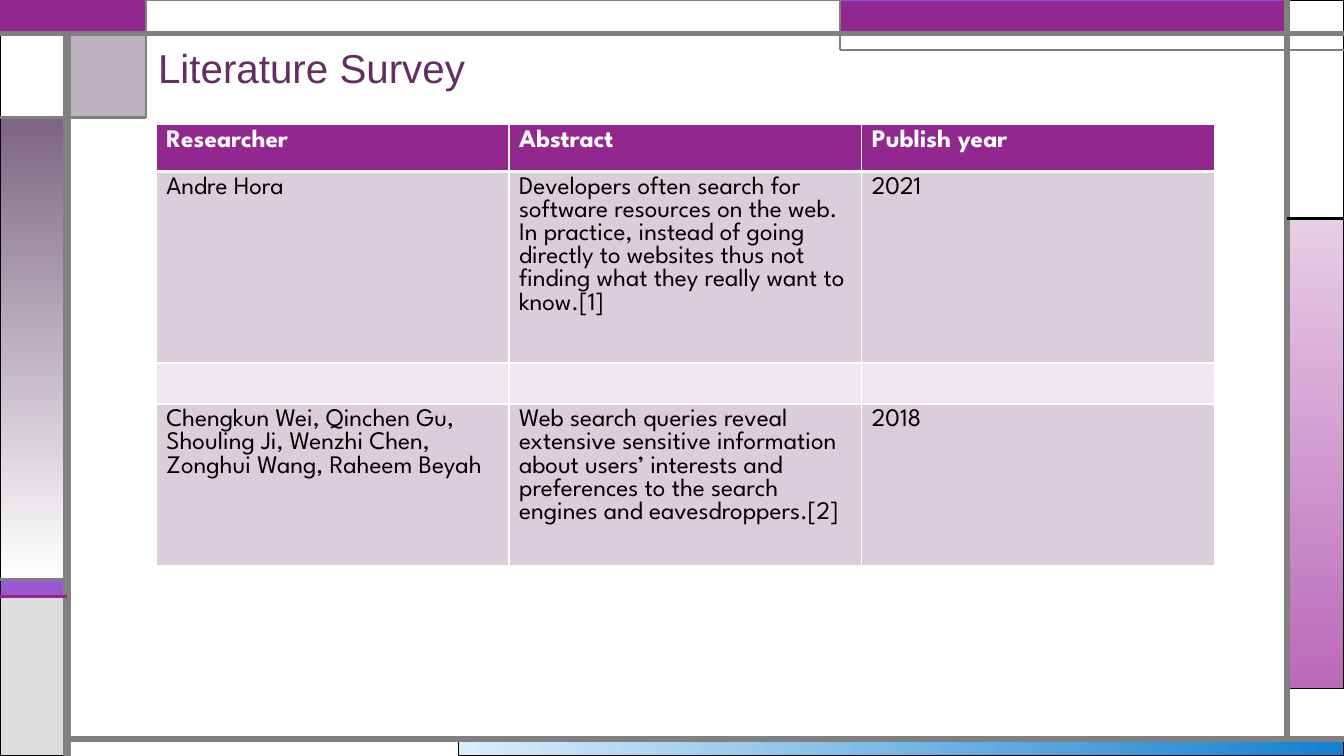
import dataclasses

import pptx
import pptx.dml.color
import pptx.enum.shapes
import pptx.enum.text
import pptx.oxml
import pptx.oxml.ns
import pptx.util
import lxml.etree


@dataclasses.dataclass(frozen=True)
class Theme:
    white: str = "FFFFFF"
    black: str = "000000"
    rule: str = "808080"
    accent: str = "92278F"
    violet: str = "9B57D3"
    indigo: str = "755DD9"
    mauve: str = "7E6583"
    silver: str = "DDDDDD"
    heading: str = "632E62"
    band: str = "DCCDDB"
    band_light: str = "EEE8EE"
    sky: tuple = ("DAEDFB", "1480D1")
    orchid: tuple = ("E8CDE7", "BA69B8")
    fade: tuple = ("7E6583", "FFFFFF")
    heading_font: str = "Arial"
    body_font: str = "League Spartan"
    heading_size: float = 28.8
    body_size: float = 18


COLUMNS, ROWS = 160, 90
RIGHT_RAIL = 153.24
TAB = 17.33


def rgb(value):
    return pptx.dml.color.RGBColor.from_string(value)


def write_text(frame, text, *, font, size, color, bold=False, line_spacing=None):
    paragraph = frame.paragraphs[0]
    paragraph.line_spacing = line_spacing
    run = paragraph.add_run()
    run.text = text
    run.font.name = font
    run.font.size = pptx.util.Pt(size)
    run.font.bold = bold
    run.font.color.rgb = rgb(color)


class SlideBuilder:
    def __init__(self, deck, theme):
        self.theme = theme
        self.unit_x = deck.slide_width / COLUMNS
        self.unit_y = deck.slide_height / ROWS
        self.slide = deck.slides.add_slide(deck.slide_layouts[6])

    def place(self, x, y):
        return round(x * self.unit_x), round(y * self.unit_y)

    def panel(self, x, y, width, height, fill, angle=0, opacity=100, line=None, weight=0.75):
        block = self.slide.shapes.add_shape(
            pptx.enum.shapes.MSO_SHAPE.RECTANGLE, *self.place(x, y), *self.place(width, height))
        block.shadow.inherit = False
        if isinstance(fill, tuple):
            block.fill.gradient()
            block.fill.gradient_angle = 360 - angle
            for stop, shade in zip(block.fill.gradient_stops, fill):
                stop.color.rgb = rgb(shade)
        else:
            block.fill.solid()
            block.fill.fore_color.rgb = rgb(fill)
        if opacity < 100:
            tint = block.element.spPr.find(
                f"{pptx.oxml.ns.qn('a:solidFill')}/{pptx.oxml.ns.qn('a:srgbClr')}")
            lxml.etree.SubElement(tint, pptx.oxml.ns.qn("a:alpha"), val=str(opacity * 1000))
        block.line.color.rgb = rgb(line or self.theme.black)
        block.line.width = pptx.util.Pt(weight)

    def rule(self, start, end, weight, color=None):
        stroke = self.slide.shapes.add_connector(
            pptx.enum.shapes.MSO_CONNECTOR.STRAIGHT, *self.place(*start), *self.place(*end))
        stroke.line.color.rgb = rgb(color or self.theme.rule)
        stroke.line.width = pptx.util.Pt(weight)
        lxml.etree.SubElement(stroke.element.spPr, pptx.oxml.ns.qn("a:effectLst"))

    def heading(self, x, y, width, height, text):
        frame = self.slide.shapes.add_textbox(
            *self.place(x, y), *self.place(width, height)).text_frame
        frame.word_wrap = True
        frame.vertical_anchor = pptx.enum.text.MSO_ANCHOR.BOTTOM
        write_text(frame, text, font=self.theme.heading_font, size=self.theme.heading_size,
                   color=self.theme.heading, line_spacing=0.9)

    def borders(self, cell, weights):
        properties = cell._tc.get_or_add_tcPr()
        for index, (side, weight) in enumerate(weights.items()):
            properties.insert(index, pptx.oxml.parse_xml(
                f'<a:ln{side} {pptx.oxml.ns.nsdecls("a")} w="{pptx.util.Pt(weight)}">'
                f'<a:solidFill><a:srgbClr val="{self.theme.white}"/></a:solidFill></a:ln{side}>'))

    def table(self, x, y, column_width, heights, records):
        theme = self.theme
        fields = len(records[0])
        grid = self.slide.shapes.add_table(
            len(records), fields, *self.place(x, y),
            *self.place(column_width * fields, sum(heights))).table
        for column in grid.columns:
            column.width = self.place(column_width, 0)[0]
        for index, (record, height) in enumerate(zip(records, heights)):
            grid.rows[index].height = self.place(0, height)[1]
            header = index == 0
            fill = theme.accent if header else theme.band if index % 2 else theme.band_light
            edges = {"L": 1, "R": 1, "T": 3 if index == 1 else 1, "B": 3 if header else 1}
            for cell, text in zip(grid.rows[index].cells, record):
                cell.fill.solid()
                cell.fill.fore_color.rgb = rgb(fill)
                self.borders(cell, edges)
                if text:
                    write_text(cell.text_frame, text, font=theme.body_font,
                               size=theme.body_size, bold=header,
                               color=theme.white if header else theme.black)


def draw_frame(page):
    theme = page.theme
    rail_width = COLUMNS - RIGHT_RAIL
    page.panel(54.6, 88, 105.4, 2, theme.sky)
    page.panel(RIGHT_RAIL, 26, rail_width, 56, theme.orchid, angle=90)
    page.panel(0, 69, 8, 2, theme.violet)
    page.panel(0, 71, 8, 19, theme.silver)
    page.panel(RIGHT_RAIL, 0, rail_width, 26, theme.white)
    page.panel(100, 0, RIGHT_RAIL - 100, 4, theme.accent, line=theme.indigo)
    page.panel(8, 4, TAB - 8, 10, theme.mauve, opacity=50)
    page.panel(0, 14, 8, 55, theme.fade, angle=90)
    page.panel(0, 4, 8, 10, theme.white)
    page.panel(0, 0, TAB, 4, theme.accent, line=theme.accent, weight=1.5)
    page.panel(TAB, 0, 100 - TAB, 4, theme.white, line=theme.rule)

    page.rule((8, 90), (8, 4), 6)
    page.rule((8, 88), (160, 88), 4.5)
    page.rule((RIGHT_RAIL, 88), (RIGHT_RAIL, 0), 4.5)
    page.rule((0, 4), (160, 4), 3)
    page.rule((160, 6), (100, 6), 1.5)
    page.rule((100, 6), (100, 0), 1.5)
    page.rule((RIGHT_RAIL, 26), (160, 26), 2.25, theme.black)
    page.rule((TAB, 0), (TAB, 14), 1.5)
    page.rule((TAB, 14), (0, 14), 2.25)
    page.rule((8, 69), (0, 69), 2.25)
    page.rule((8, 71), (0, 71), 2.25, theme.accent)


def main():
    deck = pptx.Presentation()
    deck.slide_width = pptx.util.Inches(13.33)
    deck.slide_height = pptx.util.Inches(7.5)
    page = SlideBuilder(deck, Theme())
    draw_frame(page)
    page.heading(17.64, 4.32, 41.2, 7.2, "Literature Survey")
    survey = [
        ("Researcher", "Abstract", "Publish year"),
        ("Andre Hora",
         "Developers often search for software resources on the web. In practice, instead of "
         "going directly to websites thus not finding what they really want to know.[1]",
         "2021"),
        ("", "", ""),
        ("Chengkun Wei, Qinchen Gu, Shouling Ji, Wenzhi Chen, Zonghui Wang, Raheem Beyah",
         "Web search queries reveal extensive sensitive information about users’ interests and "
         "preferences to the search engines and eavesdroppers.[2]",
         "2018"),
    ]
    page.table(18.6, 14.8, 42, (5.6, 20.5, 4.9, 17.7), survey)
    deck.save("out.pptx")


if __name__ == "__main__":
    main()
